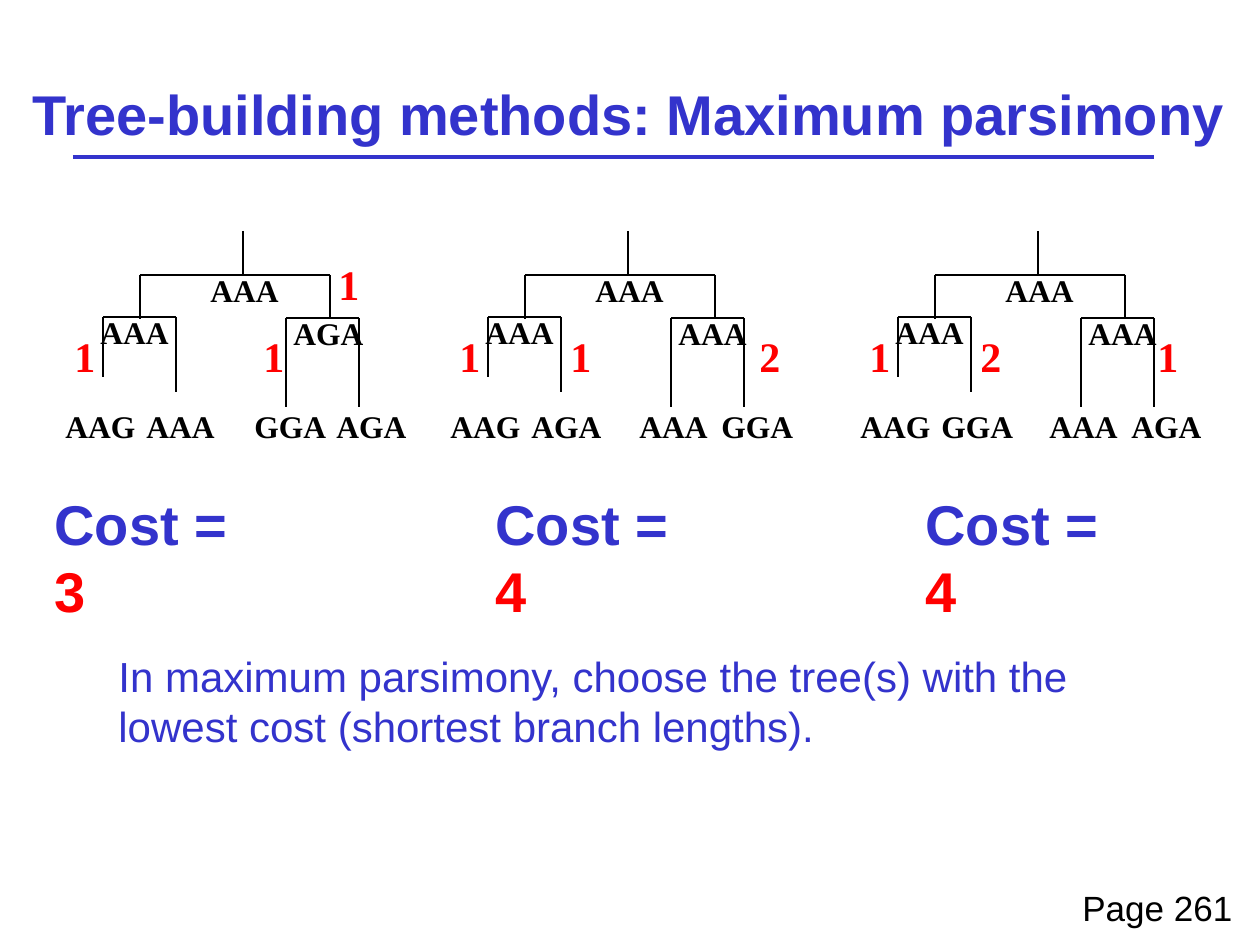
from dataclasses import dataclass

import pptx
import pptx.dml.color
import pptx.enum.shapes
import pptx.enum.text
import pptx.oxml.ns
import pptx.util
from lxml import etree

EMU_PER_PX = 914400 / 126


@dataclass(frozen=True)
class Theme:
    blue: str = "3333CC"
    red: str = "FF0000"
    black: str = "000000"
    sans: str = "Arial"
    serif: str = "Times New Roman"
    heading: int = 32
    body: int = 24
    page: int = 20
    sequence: int = 18
    rule: float = 2.25
    branch: float = 0.75


THEME = Theme()

# Each tree: box, leaves, inner nodes (root, left, right), branch costs as (x, y, cost)
TREES = [
    ((53, 231), ["AAG", "AAA", "GGA", "AGA"], ["AAA", "AAA", "AGA"],
     [(9, 93, "1"), (198, 93, "1"), (273, 21, "1")]),
    ((438, 231), ["AAG", "AGA", "AAA", "GGA"], ["AAA", "AAA", "AAA"],
     [(9, 93, "1"), (120, 93, "1"), (309, 93, "2")]),
    ((848, 231), ["AAG", "GGA", "AAA", "AGA"], ["AAA", "AAA", "AAA"],
     [(9, 93, "1"), (120, 93, "2"), (297, 93, "1")]),
]
TOTALS = [(42, "3"), (483, "4"), (913, "4")]


def px(length):
    return pptx.util.Emu(round(length * EMU_PER_PX))


def rgb(color):
    return pptx.dml.color.RGBColor.from_string(color)


def add_text(slide, box, lines, size, color, font, bold=False):
    shape = slide.shapes.add_textbox(*map(px, box))
    frame = shape.text_frame
    frame.word_wrap = False
    frame.auto_size = pptx.enum.text.MSO_AUTO_SIZE.SHAPE_TO_FIT_TEXT
    for index, line in enumerate(lines):
        paragraph = frame.add_paragraph() if index else frame.paragraphs[0]
        paragraph.add_run().text = line
        paragraph.font.name = font
        paragraph.font.size = pptx.util.Pt(size)
        paragraph.font.bold = bold
        paragraph.font.color.rgb = rgb(color)
    return shape


def add_line(slide, start, end, color, width):
    connector = slide.shapes.add_connector(
        pptx.enum.shapes.MSO_CONNECTOR.STRAIGHT, *map(px, (*start, *end)))
    connector.line.color.rgb = rgb(color)
    connector.line.width = pptx.util.Pt(width)
    properties = connector.element.find(pptx.oxml.ns.qn("p:spPr"))
    etree.SubElement(properties, pptx.oxml.ns.qn("a:effectLst"))


def add_title(slide, box):
    left, top, width, height = box
    add_text(slide, box, ["Tree-building methods: Maximum parsimony"],
             THEME.heading, THEME.blue, THEME.sans, bold=True)
    rule_y = top + height + 3
    add_line(slide, (left + 53, rule_y), (left + 1134, rule_y), THEME.blue, THEME.rule)


def add_tree(slide, origin, leaves, inner_nodes, costs):
    left, top = origin

    def branch(x1, y1, x2, y2):
        add_line(slide, (left + x1, top + y1), (left + x2, top + y2),
                 THEME.black, THEME.branch)

    def fork(x1, x2, y, left_end, right_end):
        branch(x1, y, x2, y)
        branch(x1, y, x1, left_end)
        branch(x2, y, x2, right_end)

    def sequence(x, y, letters):
        width = 93 + 2 * letters.count("G")
        add_text(slide, (left + x, top + y, width, 50), [letters],
                 THEME.sequence, THEME.black, THEME.serif, bold=True)

    # Branches
    branch(190, 0, 190, 44)
    fork(87, 277, 44, 88, 88)
    fork(50, 123, 86, 146, 161)
    fork(233, 306, 87, 176, 176)

    # Sequences at the leaves and the inner nodes
    for x, letters in zip((0, 81, 189, 271), leaves):
        sequence(x, 170, letters)
    for (x, y), letters in zip(((145, 34), (35, 76), (228, 77)), inner_nodes):
        sequence(x, y, letters)

    # Branch costs
    for x, y, cost in costs:
        add_text(slide, (left + x, top + y, 45, 63), [cost],
                 THEME.body, THEME.red, THEME.serif, bold=True)


def add_total(slide, box, total):
    shape = add_text(slide, box, ["Cost = "], THEME.heading, THEME.blue,
                     THEME.sans, bold=True)
    run = shape.text_frame.paragraphs[0].add_run()
    run.text = total
    run.font.color.rgb = rgb(THEME.red)


def add_explanation(slide, box):
    add_text(slide, box, ["In maximum parsimony, choose the tree(s) with the",
                          "lowest cost (shortest branch lengths)."],
             THEME.body, THEME.blue, THEME.sans)


def add_page_reference(slide, box):
    add_text(slide, box, ["Page 261"], THEME.page, THEME.black, THEME.sans)


def main():
    presentation = pptx.Presentation()
    presentation.slide_width = px(1260)
    presentation.slide_height = px(945)
    slide = presentation.slides.add_slide(presentation.slide_layouts[6])

    for tree in TREES:
        add_tree(slide, *tree)
    add_title(slide, (20, 73, 1221, 81))
    for left, total in TOTALS:
        add_total(slide, (left, 483, 244, 81), total)
    add_explanation(slide, (106, 644, 989, 113))
    add_page_reference(slide, (1070, 880, 175, 55))

    presentation.save("out.pptx")


if __name__ == "__main__":
    main()
